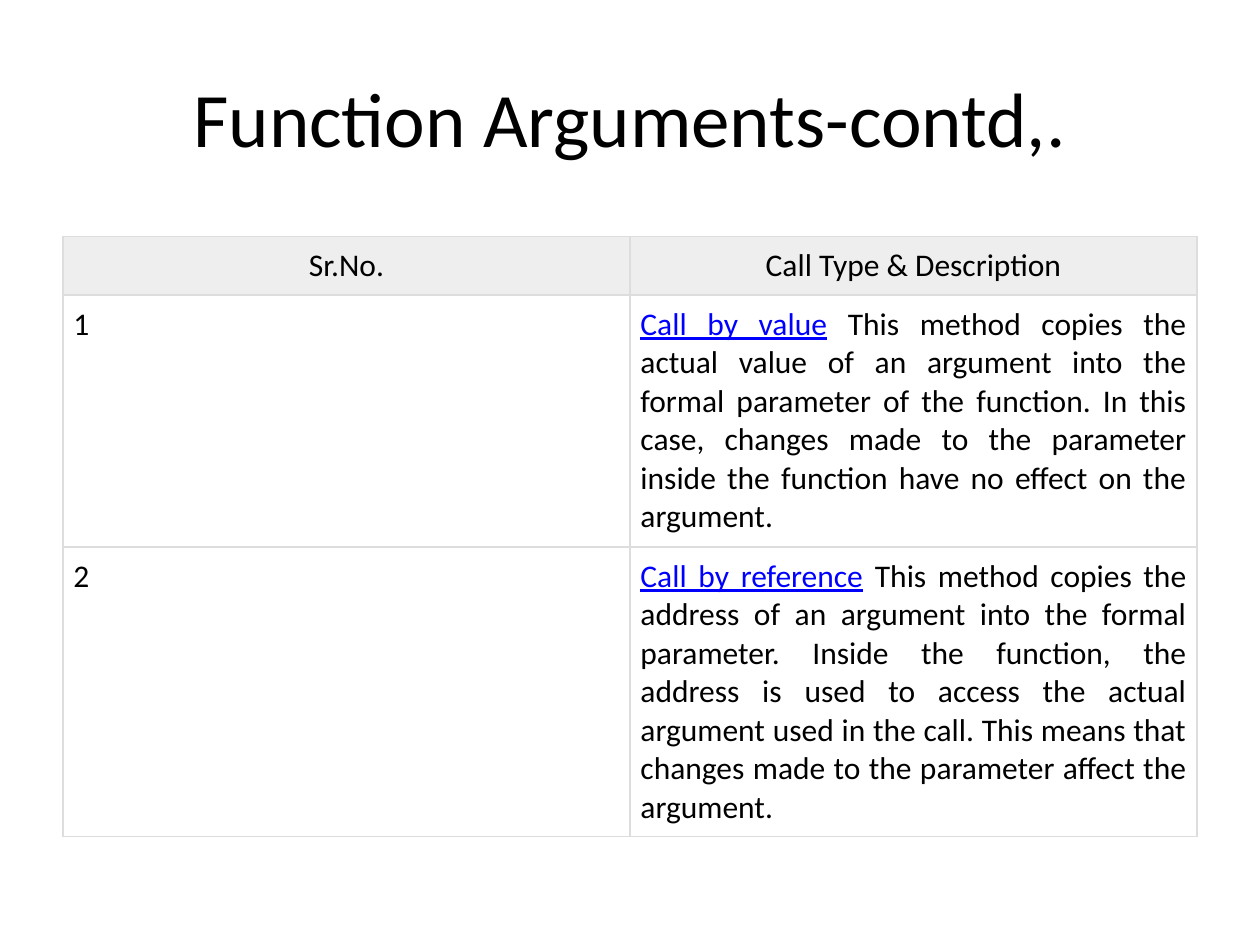
from lxml import etree
from pptx import Presentation
from pptx.dml.color import RGBColor
from pptx.enum.text import MSO_ANCHOR, PP_ALIGN
from pptx.oxml.ns import qn
from pptx.util import Pt

CENTER, LEFT, JUSTIFY = PP_ALIGN.CENTER, PP_ALIGN.LEFT, PP_ALIGN.JUSTIFY
MIDDLE, TOP = MSO_ANCHOR.MIDDLE, MSO_ANCHOR.TOP

FONT = "Calibri"
BLACK, LINK_BLUE, WHITE = "000000", "0000FF", "FFFFFF"
HEADER_GREY, BORDER_GREY = "EEEEEE", "DDDDDD"
MARGIN, CONTENT_WIDTH = 36, 648
CELL_INSET = 6
ROW_HEIGHTS = (33.6, 144, 165.6)

HEADINGS = ("Sr.No.", "Call Type & Description")
CALL_TYPES = (
    ("Call by value",
     " This method copies the actual value of an argument into the formal "
     "parameter of the function. In this case, changes made to the parameter "
     "inside the function have no effect on the argument."),
    ("Call by reference",
     " This method copies the address of an argument into the formal "
     "parameter. Inside the function, the address is used to access the "
     "actual argument used in the call. This means that changes made to the "
     "parameter affect the argument."),
)


def color(hex_string):
    return RGBColor.from_string(hex_string)


def add_run(paragraph, text, size, hex_string=BLACK, underline=False):
    run = paragraph.add_run()
    run.text = text
    run.font.name = FONT
    run.font.size = Pt(size)
    run.font.color.rgb = color(hex_string)
    run.font.underline = underline


def add_title(slide, text):
    title = slide.shapes.add_textbox(Pt(MARGIN), Pt(21.6), Pt(CONTENT_WIDTH), Pt(90))
    frame = title.text_frame
    frame.word_wrap = True
    frame.vertical_anchor = MIDDLE
    paragraph = frame.paragraphs[0]
    paragraph.alignment = CENTER
    add_run(paragraph, text, 44)


def set_borders(cell):
    properties = cell._tc.get_or_add_tcPr()
    for position, side in enumerate(("a:lnL", "a:lnR", "a:lnT", "a:lnB")):
        line = etree.Element(qn(side), w=str(Pt(0.75)))
        fill = etree.SubElement(line, qn("a:solidFill"))
        etree.SubElement(fill, qn("a:srgbClr"), val=BORDER_GREY)
        properties.insert(position, line)


def fill_cell(cell, alignment, text, link="", background=WHITE):
    """Write an optional underlined link text followed by plain text."""
    cell.fill.solid()
    cell.fill.fore_color.rgb = color(background)
    cell.margin_left = cell.margin_right = Pt(CELL_INSET)
    cell.margin_top = cell.margin_bottom = Pt(CELL_INSET)
    cell.vertical_anchor = TOP
    set_borders(cell)
    paragraph = cell.text_frame.paragraphs[0]
    paragraph.alignment = alignment
    if link:
        add_run(paragraph, link, 18, LINK_BLUE, underline=True)
    add_run(paragraph, text, 18)


def add_call_table(slide):
    frame = slide.shapes.add_table(
        len(ROW_HEIGHTS), len(HEADINGS),
        Pt(MARGIN), Pt(135), Pt(CONTENT_WIDTH), Pt(sum(ROW_HEIGHTS)))
    table = frame.table
    table.horz_banding = False
    for row, height in zip(table.rows, ROW_HEIGHTS):
        row.height = Pt(height)
    # The default style would make the first row bold.
    table.first_row = False
    for column, heading in enumerate(HEADINGS):
        fill_cell(table.cell(0, column), CENTER, heading, background=HEADER_GREY)
    for number, (name, description) in enumerate(CALL_TYPES, start=1):
        fill_cell(table.cell(number, 0), LEFT, str(number))
        fill_cell(table.cell(number, 1), JUSTIFY, description, link=name)


def main():
    presentation = Presentation()
    presentation.slide_width, presentation.slide_height = Pt(720), Pt(540)
    slide = presentation.slides.add_slide(presentation.slide_layouts[6])
    add_title(slide, "Function Arguments-contd,.")
    add_call_table(slide)
    presentation.save("out.pptx")


if __name__ == "__main__":
    main()
